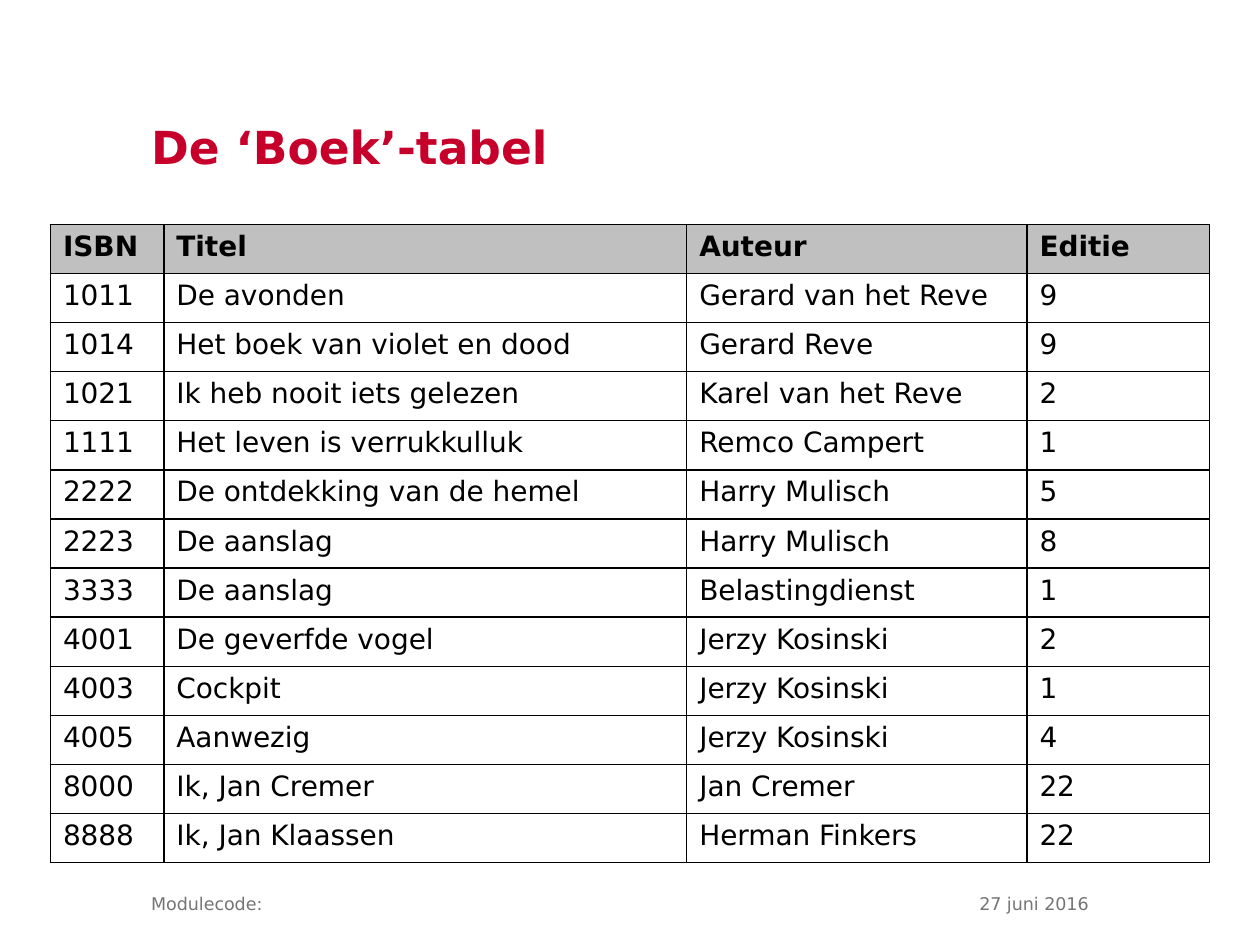
from lxml import etree
from pptx import Presentation
from pptx.dml.color import RGBColor
from pptx.enum.text import MSO_ANCHOR, PP_ALIGN
from pptx.oxml.ns import qn
from pptx.util import Inches, Pt

LEFT, RIGHT = PP_ALIGN.LEFT, PP_ALIGN.RIGHT
TOP, MIDDLE = MSO_ANCHOR.TOP, MSO_ANCHOR.MIDDLE
RED = RGBColor(0xC7, 0x00, 0x2B)
GREY = RGBColor(0x75, 0x75, 0x75)
SILVER = RGBColor(0xC0, 0xC0, 0xC0)
WHITE = RGBColor(0xFF, 0xFF, 0xFF)
BLACK = RGBColor(0x00, 0x00, 0x00)
FONT = "DejaVu Sans"

COLS = [0.9, 4.15, 2.7, 1.45]
ROW = 0.39
BOOKS = [
    ("ISBN", "Titel", "Auteur", "Editie"),
    ("1011", "De avonden", "Gerard van het Reve", "9"),
    ("1014", "Het boek van violet en dood", "Gerard Reve", "9"),
    ("1021", "Ik heb nooit iets gelezen", "Karel van het Reve", "2"),
    ("1111", "Het leven is verrukkulluk", "Remco Campert", "1"),
    ("2222", "De ontdekking van de hemel", "Harry Mulisch", "5"),
    ("2223", "De aanslag", "Harry Mulisch", "8"),
    ("3333", "De aanslag", "Belastingdienst", "1"),
    ("4001", "De geverfde vogel", "Jerzy Kosinski", "2"),
    ("4003", "Cockpit", "Jerzy Kosinski", "1"),
    ("4005", "Aanwezig", "Jerzy Kosinski", "4"),
    ("8000", "Ik, Jan Cremer", "Jan Cremer", "22"),
    ("8888", "Ik, Jan Klaassen", "Herman Finkers", "22"),
]


def write(frame, text, color, size, bold=False, align=LEFT, line=None):
    para = frame.paragraphs[0]
    para.alignment = align
    if line:
        para.line_spacing = Pt(line)
    run = para.add_run()
    run.text = text
    run.font.color.rgb = color
    look = {"name": FONT, "size": Pt(size), "bold": bold}
    for key, value in look.items():
        setattr(run.font, key, value)


def border(cell):
    props = cell._tc.get_or_add_tcPr()
    for spot, side in enumerate(("a:lnL", "a:lnR", "a:lnT", "a:lnB")):
        edge = etree.Element(qn(side), w=str(Pt(1)))
        fill = etree.SubElement(edge, qn("a:solidFill"))
        etree.SubElement(fill, qn("a:srgbClr"), val=str(BLACK))
        props.insert(spot, edge)


deck = Presentation()
deck.slide_width, deck.slide_height = Inches(10), Inches(7.5)
slide = deck.slides.add_slide(deck.slide_layouts[5])

# Title and footers
title = slide.shapes.title
place = {"left": 1.2, "top": 1, "width": 5.59, "height": 0.39}
for key, value in place.items():
    setattr(title, key, Inches(value))
write(title.text_frame, "De ‘Boek’-tabel", RED, 26, True, line=26)

frames = [(title.text_frame, MIDDLE)]
for left, text, align in [(1.2, "Modulecode:", LEFT), (6.24, "27 juni 2016", RIGHT)]:
    box = slide.shapes.add_textbox(Inches(left), Inches(7.03), Inches(2.4), Inches(0.2))
    write(box.text_frame, text, GREY, 10, align=align, line=16)
    frames.append((box.text_frame, TOP))

flat = {f"margin_{side}": 0 for side in ("left", "right", "top", "bottom")}
for frame, anchor in frames:
    for key, value in {**flat, "word_wrap": True, "vertical_anchor": anchor}.items():
        setattr(frame, key, value)

# Book table
table = slide.shapes.add_table(
    len(BOOKS), len(COLS), Inches(0.4), Inches(1.78),
    Inches(sum(COLS)), Inches(ROW * len(BOOKS))).table
for col, width in zip(table.columns, COLS):
    col.width = Inches(width)
for r, book in enumerate(BOOKS):
    table.rows[r].height = Inches(ROW)
    for c, text in enumerate(book):
        cell = table.cell(r, c)
        cell.fill.solid()
        cell.fill.fore_color.rgb = WHITE if r else SILVER
        write(cell.text_frame, text, BLACK, 16, r == 0)
        border(cell)

deck.save("out.pptx")
